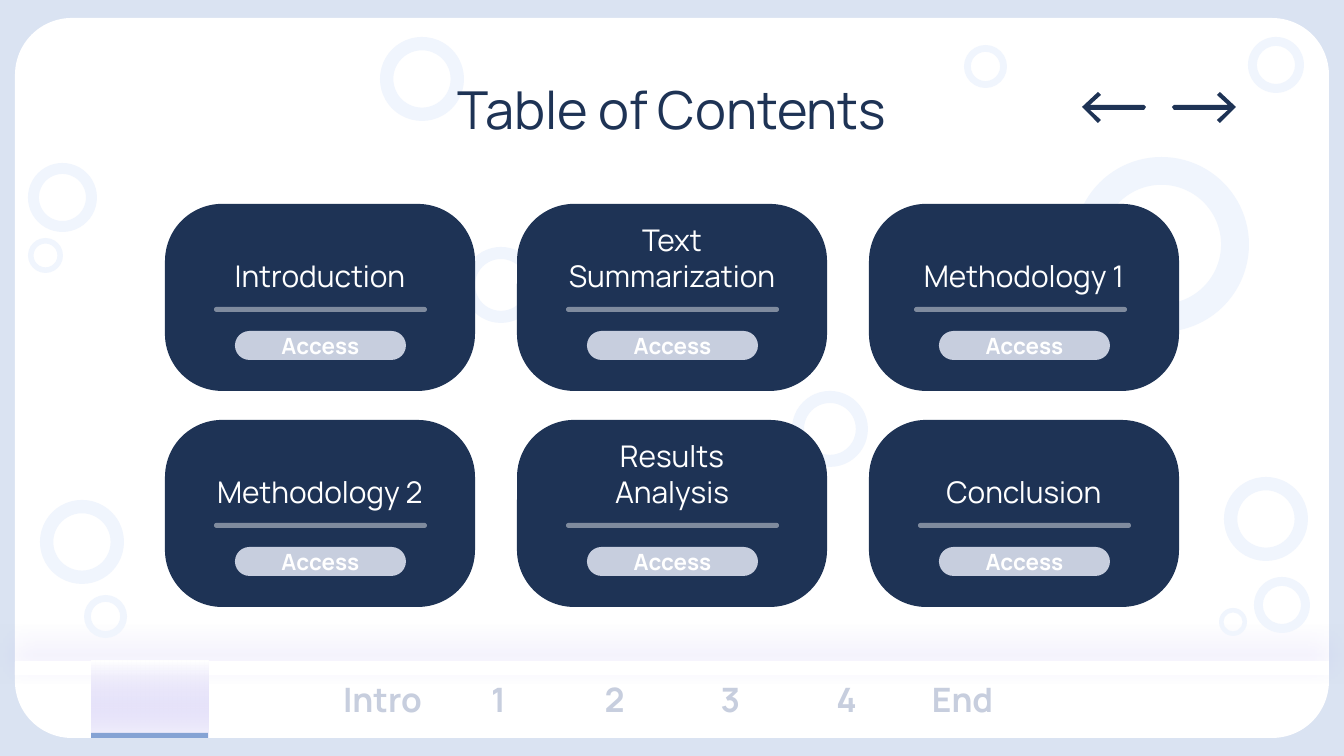
from lxml.etree import SubElement
from pptx import Presentation
from pptx.dml.color import RGBColor
from pptx.enum.shapes import MSO_CONNECTOR, MSO_SHAPE as Preset
from pptx.enum.text import MSO_ANCHOR as Anchor, PP_ALIGN as Align
from pptx.oxml.ns import qn
from pptx.util import Pt

SCALE = 914400 / 134.4  # EMU in one px
FONT = "Manrope"
COLORS = {
    "backdrop": "DAE3F2", "white": "FFFFFF", "navy": "1E3355", "ring": "F0F5FD",
    "mist": "C7CEDE", "marker": "85A3D4", "lavender": "AA9EEE", "glow": "7966E4",
}

RINGS = [  # left, top, diameter
    (28, 163, 69), (1219, 608, 28), (1248, 37, 56), (28, 238, 35), (1254, 577, 56),
    (1074, 157, 175), (1224, 477, 84), (84, 595, 43), (380, 37, 84), (40, 500, 84),
    (792, 391, 76), (463, 247, 76), (964, 45, 43),
]
TABS = ["Intro", "1", "2", "3", "4", "End"]
CARDS = [
    [["Introduction"], ["Text", "Summarization"], ["Methodology 1"]],
    [["Methodology 2"], ["Results", "Analysis"], ["Conclusion"]],
]
ARROW = [  # distance behind the tip, height from the axis
    (16, -15), (0, 0), (16, 16), (19, 13), (8, 3), (62, 3),
    (64, 0), (62, -2), (8, -2), (19, -12),
]


def px(length):
    return round(length * SCALE)


def rgb(name):
    return RGBColor.from_string(COLORS[name])


def set_alpha(color_element, percent):
    SubElement(color_element, qn("a:alpha"), val=str(percent * 1000))


class Deck:
    def __init__(self, width, height):
        self.prs = Presentation()
        self.prs.slide_width, self.prs.slide_height = px(width), px(height)
        self.slide = self.prs.slides.add_slide(self.prs.slide_layouts[5])
        self.shapes = self.slide.shapes
        backdrop = self.slide.background.fill
        backdrop.solid()
        backdrop.fore_color.rgb = rgb("backdrop")

    def paint(self, shape, color, alpha=100):
        shape.shadow.inherit = False
        shape.fill.solid()
        shape.fill.fore_color.rgb = rgb(color)
        shape.line.fill.background()
        if alpha < 100:
            set_alpha(shape._element.spPr.find(".//" + qn("a:srgbClr")), alpha)

    def block(self, box, color, preset=Preset.RECTANGLE, adjust=None, alpha=100):
        shape = self.shapes.add_shape(preset, *map(px, box))
        if adjust is not None:
            shape.adjustments[0] = adjust
        self.paint(shape, color, alpha)
        return shape

    def rounded(self, box, color, adjust=0.5, alpha=100):
        return self.block(box, color, Preset.ROUNDED_RECTANGLE, adjust, alpha)

    def label(self, shape, lines, size, color, bold=False, anchor=Anchor.MIDDLE,
              bottom=13, spacing=None):
        frame = shape.text_frame
        frame.word_wrap = True
        frame.vertical_anchor = anchor
        frame.margin_left = frame.margin_right = px(13)
        frame.margin_top, frame.margin_bottom = 0 if spacing else px(13), px(bottom)
        for number, line in enumerate(lines):
            paragraph = frame.add_paragraph() if number else frame.paragraphs[0]
            paragraph.alignment = Align.CENTER
            if spacing:
                paragraph.line_spacing = Pt(spacing)
            run = paragraph.add_run()
            run.text = line
            run.font.name, run.font.size, run.font.bold = FONT, Pt(size), bold
            run.font.color.rgb = rgb(color)

    def title(self, text, box):
        heading = self.shapes.title
        heading.left, heading.top, heading.width, heading.height = map(px, box)
        self.label(heading, [text], 28, "navy")
        self.shapes._spTree.append(heading._element)  # bring to the front

    def ring(self, left, top, diameter):
        self.block((left, top, diameter, diameter), "ring", Preset.DONUT, 0.159)

    def arrow(self, tip, direction, axis):
        points = [(px(tip - direction * back), px(axis + rise)) for back, rise in ARROW]
        outline = self.shapes.build_freeform(*points[0])
        outline.add_line_segments(points[1:], close=True)
        self.paint(outline.convert_to_shape(), "navy")

    def glowing_line(self, start, end, y):
        line = self.shapes.add_connector(
            MSO_CONNECTOR.STRAIGHT, px(start), px(y), px(end), px(y))
        line.line.color.rgb = rgb("white")
        line.line.width = Pt(0.75)
        effects = SubElement(line._element.spPr, qn("a:effectLst"))
        shadow = SubElement(
            effects, qn("a:outerShdw"), blurRad=str(int(Pt(15.8))),
            dist=str(int(Pt(4.5))), dir=str(264 * 60000), algn="bl", rotWithShape="0")
        SubElement(shadow, qn("a:srgbClr"), val=COLORS["glow"])

    def fade(self, box):
        """Rectangle fading upwards from translucent lavender to white."""
        shape = self.block(box, "white")
        shape.fill.gradient()
        shape.fill.gradient_angle = 90
        bottom, top = shape.fill.gradient_stops
        bottom.position, top.position = 0, 1
        bottom.color.rgb, top.color.rgb = rgb("lavender"), rgb("white")
        set_alpha(shape._element.spPr.find(".//" + qn("a:srgbClr")), 13)

    def card(self, left, top, lines, rule_shift):
        body = self.rounded((left, top, 310, 187), "navy", 0.305)
        self.label(body, lines, 16, "white", anchor=Anchor.BOTTOM, bottom=81, spacing=19.3)
        self.rounded((left + 49 + rule_shift, top + 103, 213, 5), "white", alpha=43)
        button = self.rounded((left + 70, top + 127, 171, 29), "mist")
        self.label(button, ["Access"], 12, "white", bold=True)


def main():
    deck = Deck(1344, 756)
    deck.rounded((15, 18, 1314, 720), "white", 0.079)

    for number, name in enumerate(TABS):
        tab = deck.block((324 + 116 * number, 661, 117, 77), "white")
        deck.label(tab, [name], 18, "mist", bold=True)
    deck.glowing_line(1329, 15, 662)
    deck.block((15, 662, 1314, 13), "white")

    for ring in RINGS:
        deck.ring(*ring)
    deck.title("Table of Contents", (105, 66, 1134, 85))
    deck.arrow(1236, 1, 107)
    deck.arrow(1082, -1, 107)

    for row, cards in enumerate(CARDS):
        for column, lines in enumerate(cards):
            rule_shift = -4 if lines == ["Methodology 1"] else 0
            deck.card(165 + 352 * column, 204 + 216 * row, lines, rule_shift)

    deck.fade((91, 661, 117, 77))
    deck.block((91, 733, 117, 5), "marker")
    deck.prs.save("out.pptx")


if __name__ == "__main__":
    main()
